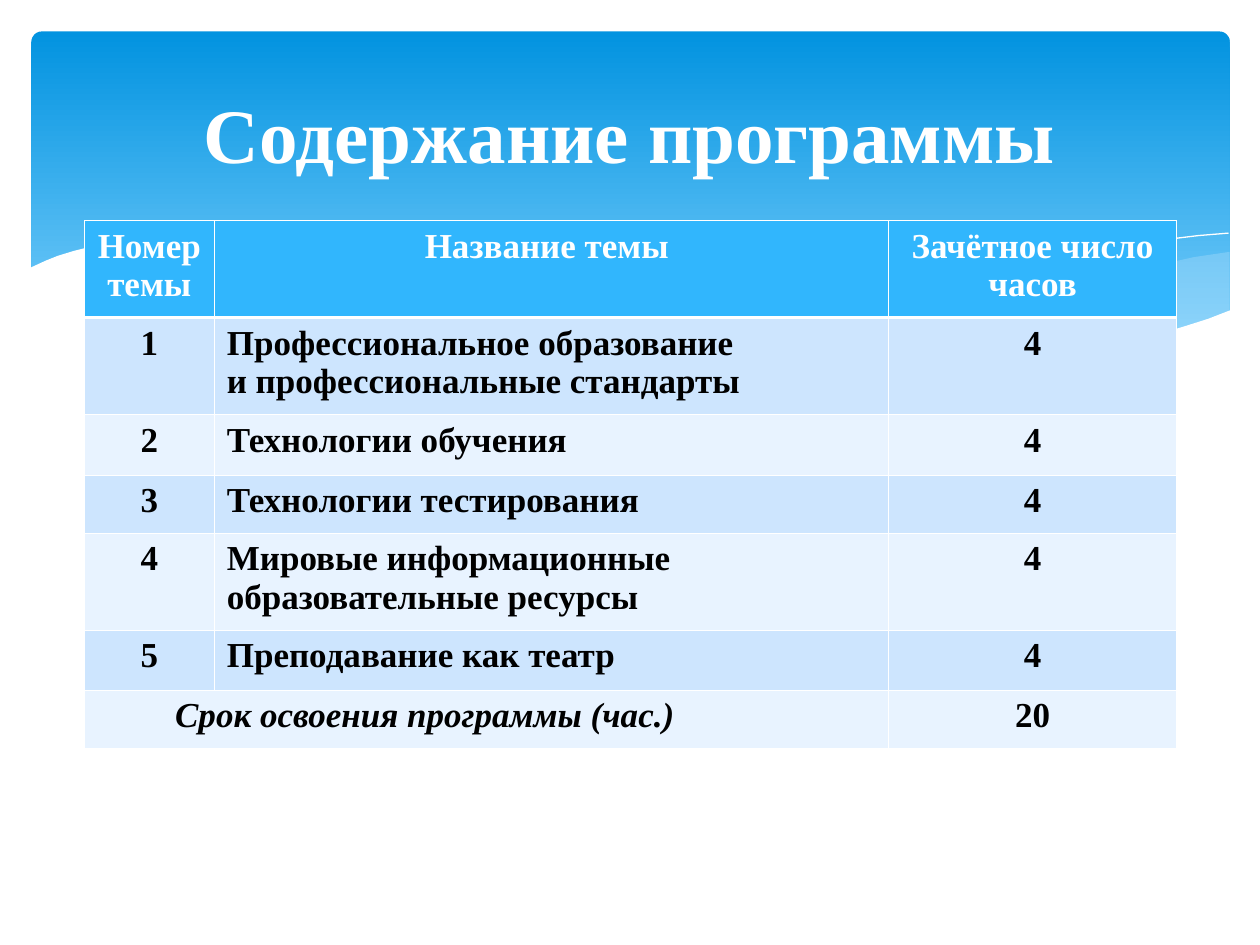
from lxml import etree
from pptx import Presentation
from pptx import util as u
from pptx.dml.color import RGBColor
from pptx.enum import shapes, text
from pptx.oxml.ns import qn

PX = 9144  # 100 px to the inch
FONT = "Times New Roman"
C = {"white": "FFFFFF", "black": "000000", "sky_top": "0293E0", "sky_low": "83D3FE",
     "mist": "C6E7FC", "head": "31B6FD", "odd": "CDE5FE", "even": "E8F3FF"}


def add_run(p, words, size, color, italic=None):
    r = p.add_run()
    r.text = words
    r.font.name, r.font.size = FONT, u.Pt(size)
    r.font.bold, r.font.italic = True, italic
    r.font.color.rgb = RGBColor.from_string(C[color])


def add_wave(points, fill=None, alpha=100):
    """Draw a closed filled wave, or an open white hairline when fill is None."""
    fb = s.shapes.build_freeform(*points[0], scale=PX)
    fb.add_line_segments(points[1:], close=fill is not None)
    sp = fb.convert_to_shape()
    sp.shadow.inherit = False
    if fill is None:
        sp.fill.background()
        sp.line.color.rgb = RGBColor.from_string(C["white"])
        sp.line.width = 0
        return
    sp.line.fill.background()
    sp.fill.solid()
    sp.fill.fore_color.rgb = RGBColor.from_string(C[fill])
    if alpha < 100:
        clr = sp._element.spPr.find(qn("a:solidFill"))[0]
        etree.SubElement(clr, qn("a:alpha"), val=str(alpha * 1000))


prs = Presentation()
prs.slide_width, prs.slide_height = 1000 * PX, 750 * PX
s = prs.slides.add_slide(prs.slide_layouts[6])

# Blue sky panel
sp = s.shapes.add_shape(shapes.MSO_SHAPE.ROUNDED_RECTANGLE,
                        25 * PX, 25 * PX, 951 * PX, 270 * PX)
sp.adjustments[0] = 0.03
sp.shadow.inherit = False
sp.line.fill.background()
sp.fill.gradient()
sp.fill.gradient_angle = 270
for stop, name, pos in zip(sp.fill.gradient_stops, ("sky_top", "sky_low"), (0, 1)):
    stop.color.rgb = RGBColor.from_string(C[name])
    stop.position = pos

# Waves, from back to front
add_wave([(975, 200), (948, 204), (921, 210), (891, 216), (861, 223), (805, 237),
          (753, 248), (706, 257), (661, 265), (691, 269), (732, 274), (769, 277),
          (803, 278), (835, 277), (863, 275), (889, 272), (913, 267), (935, 262),
          (949, 257), (963, 252), (976, 247), (976, 200)], "mist", 29)
add_wave([(893, 273), (866, 269), (807, 260), (741, 247), (668, 231), (613, 218),
          (569, 208), (527, 200), (489, 194), (441, 189), (399, 186), (361, 185),
          (328, 187), (286, 191), (323, 196), (362, 203), (404, 211), (449, 222),
          (530, 240), (601, 255), (650, 264), (695, 270), (736, 275), (773, 278),
          (807, 279), (848, 278), (876, 275)], "mist", 40)
add_wave([(309, 195), (328, 192), (353, 189), (387, 187), (433, 187), (469, 189),
          (510, 192), (556, 197), (608, 204), (665, 213), (727, 226), (795, 242),
          (868, 261), (907, 272)])
add_wave([(613, 257), (652, 246), (695, 235), (748, 223), (806, 210), (866, 199),
          (910, 192), (951, 187), (975, 185)])
add_wave([(977, 246), (959, 253), (940, 259), (920, 265), (899, 269), (875, 273),
          (850, 275), (823, 277), (793, 276), (761, 275), (726, 272), (688, 268),
          (647, 262), (603, 254), (555, 245), (503, 233), (447, 220), (391, 207),
          (339, 197), (292, 190), (250, 186), (211, 184), (176, 184), (146, 185),
          (119, 187), (95, 191), (75, 195), (59, 199), (46, 203), (36, 207),
          (23, 213), (23, 329), (977, 329)], "white")

# Table of topics
rows = [
    ("Номер темы", "Название темы ", "Зачётное число часов"),
    ("1", "Профессиональное образование\nи профессиональные стандарты", "4"),
    ("2", "Технологии обучения", "4"),
    ("3", "Технологии тестирования", "4"),
    ("4", "Мировые информационные образовательные ресурсы", "4"),
    ("5", "Преподавание как театр", "4"),
    ("Срок освоения программы (час.)", "", "20"),
]
last = len(rows) - 1
tbl = s.shapes.add_table(len(rows), 3, 67 * PX, 175 * PX, 867 * PX, 419 * PX).table
for col, width in zip(tbl.columns, (103, 535, 229)):
    col.width = width * PX
for row, height in zip(tbl.rows, (77, 77, 48, 46, 77, 48, 46)):
    row.height = height * PX
tbl.cell(last, 0).merge(tbl.cell(last, 1))

for i, row in enumerate(rows):
    for j, words in enumerate(row):
        cell = tbl.cell(i, j)
        total = i == last and j == 0
        cell.margin_left = (72 if total else 10) * PX
        for p_words in words.split("\n") if words else []:
            tf = cell.text_frame
            p = tf.add_paragraph() if tf.text else tf.paragraphs[0]
            if i == 0 or (j != 1 and not total):
                p.alignment = text.PP_ALIGN.CENTER
            add_run(p, p_words, 20, "black" if i else "white", total or None)
        tcPr = cell._tc.get_or_add_tcPr()
        for side in ("lnL", "lnR", "lnT", "lnB"):
            thick = (i, side) in ((0, "lnB"), (1, "lnT"))
            ln = etree.SubElement(tcPr, qn("a:" + side), w=str(u.Pt(1.5 if thick else 0.45)))
            solid = etree.SubElement(ln, qn("a:solidFill"))
            etree.SubElement(solid, qn("a:srgbClr"), val=C["white"])
        cell.fill.solid()
        name = "head" if i == 0 else "odd" if i % 2 else "even"
        cell.fill.fore_color.rgb = RGBColor.from_string(C[name])

# Title
tf = s.shapes.add_textbox(50 * PX, 37 * PX, 900 * PX, 137 * PX).text_frame
tf.word_wrap = True
tf.vertical_anchor = text.MSO_ANCHOR.MIDDLE
p = tf.paragraphs[0]
p.alignment = text.PP_ALIGN.CENTER
add_run(p, "Содержание программы", 44, "white")

prs.save("out.pptx")
